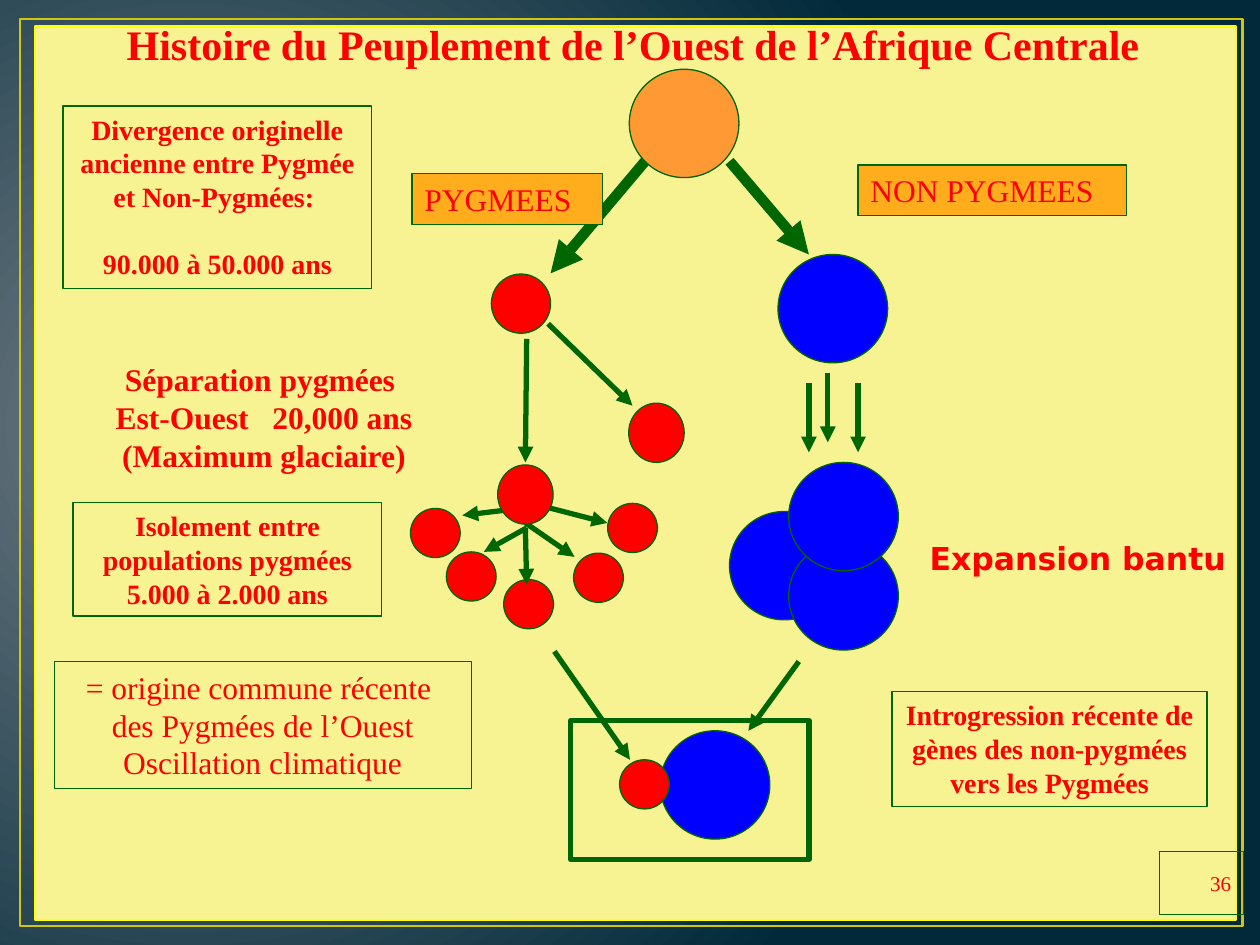
from lxml.etree import SubElement
from pptx import Presentation
from pptx.dml.color import RGBColor
from pptx.enum.shapes import MSO_CONNECTOR, MSO_SHAPE
from pptx.enum.text import MSO_ANCHOR, MSO_AUTO_SIZE, PP_ALIGN
from pptx.oxml import parse_xml
from pptx.oxml.ns import nsdecls, qn
from pptx.util import Inches, Pt

# The slide is a grid of 100 columns by 75 rows
CELL = Inches(0.1)
GREEN, RED, BLUE, ORANGE = "006600", "FF0000", "0000FF", "FF9933"
LABEL_FILL = "FFAD1C"
SERIF, SANS = "Times New Roman", "DejaVu Sans"
BIG, SMALL = (8.7, 8.6), (3.95, 3.9)  # circle sizes
CENTER, LEFT, RIGHT = PP_ALIGN.CENTER, PP_ALIGN.LEFT, PP_ALIGN.RIGHT


def grid(*cells):
    return [round(cell * CELL) for cell in cells]


def color(hex_value):
    return RGBColor.from_string(hex_value)


def set_background(slide, inner, outer):
    stops = "".join(
        f'<a:gs pos="{pos}"><a:srgbClr val="{value}"/></a:gs>'
        for pos, value in ((0, inner), (100000, outer)))
    gradient = parse_xml(
        f'<a:gradFill {nsdecls("a")} rotWithShape="1"><a:gsLst>{stops}</a:gsLst>'
        '<a:path path="circle"><a:fillToRect l="15000" t="50000" r="85000" b="60000"/>'
        '</a:path></a:gradFill>')
    fill = slide.background.fill
    fill.solid()
    solid = slide.element.find(".//" + qn("p:bgPr")).find(qn("a:solidFill"))
    solid.getparent().replace(solid, gradient)


def add_outline(slide, preset, box, fill=None, line=GREEN, weight=0.75):
    shape = slide.shapes.add_shape(preset, *grid(*box))
    shape.shadow.inherit = False
    if fill:
        shape.fill.solid()
        shape.fill.fore_color.rgb = color(fill)
    else:
        shape.fill.background()
    shape.line.color.rgb = color(line)
    shape.line.width = Pt(weight)
    return shape


def add_circle(slide, center, size, fill):
    (x, y), (width, height) = center, size
    box = (x - width / 2, y - height / 2, width, height)
    add_outline(slide, MSO_SHAPE.OVAL, box, fill)


def add_arrow(slide, start, end, weight=3):
    arrow = slide.shapes.add_connector(MSO_CONNECTOR.STRAIGHT, *grid(*start, *end))
    arrow.line.color.rgb = color(GREEN)
    arrow.line.width = Pt(weight)
    SubElement(arrow.line._get_or_add_ln(), qn("a:tailEnd"), type="triangle")
    SubElement(arrow.element.spPr, qn("a:effectLst"))


def write(shape, lines, size, bold=False, align=CENTER, face=SERIF,
          anchor=MSO_ANCHOR.TOP, gap=0):
    frame = shape.text_frame
    frame_format = {"word_wrap": True, "auto_size": MSO_AUTO_SIZE.NONE,
                    "vertical_anchor": anchor}
    for key, value in frame_format.items():
        setattr(frame, key, value)
    font_format = {"name": face, "size": Pt(size), "bold": bold}
    for index, line in enumerate(lines):
        paragraph = frame.add_paragraph() if index else frame.paragraphs[0]
        paragraph.alignment = align
        if index and gap:
            paragraph.space_before = Pt(gap)
        # A line given as a tuple has its parts set apart by a wide space
        parts = line if isinstance(line, tuple) else (line,)
        for number, part in enumerate(parts):
            pieces = [" ", part] if number else [part]
            for piece in pieces:
                run = paragraph.add_run()
                run.text = piece
                for key, value in font_format.items():
                    setattr(run.font, key, value)
                run.font.color.rgb = color(RED)
                if piece == " ":
                    run.font._element.set("spc", "900")


def add_title(slide, text):
    title = slide.shapes.title
    title.left, title.top, title.width, title.height = grid(0.5, 1, 99.5, 9.8)
    write(title, [text], 24, bold=True)
    title.element.getparent().append(title.element)  # in front of the panel


def add_boxed_text(slide, box, lines, size, fill=None, **text_format):
    write(add_outline(slide, MSO_SHAPE.RECTANGLE, box, fill), lines, size, **text_format)


def add_free_text(slide, box, lines, size, **text_format):
    write(slide.shapes.add_textbox(*grid(*box)), lines, size, **text_format)


def add_origin(slide):
    # Common ancestors and the first split
    add_circle(slide, (54.3, 9.8), BIG, ORANGE)
    add_circle(slide, (66.1, 24.5), BIG, BLUE)
    add_circle(slide, (41.35, 24.1), (4.7, 4.7), RED)
    add_arrow(slide, (51.2, 12.8), (43.7, 21.7), 6)
    add_arrow(slide, (57.9, 12.8), (64.2, 20.2), 6)
    for box, name in (((32.7, 13.8, 15.1, 4), "PYGMEES"),
                      ((68.1, 13.1, 21.3, 4), "NON PYGMEES")):
        add_boxed_text(slide, box, [name], 18, LABEL_FILL, align=LEFT)


def add_pygmy_branch(slide):
    # East and west separation, then isolated populations
    for center in ((47.5, 45.85), (50.2, 41.9), (41.95, 47.95),
                   (34.55, 42.3), (37.4, 45.75)):
        add_circle(slide, center, SMALL, RED)
    for start, end in (((41.8, 26.9), (41.7, 36.7)), ((43.5, 25.7), (50.2, 32.2)),
                       ((41.7, 41.5), (45.6, 44.2)), ((41.8, 41.9), (38.4, 43.8)),
                       ((41.7, 40.3), (36.7, 40.9)), ((42, 39.9), (48.2, 41.5)),
                       ((41.7, 41.9), (41.8, 46.4))):
        add_arrow(slide, start, end)
    for center in ((52.1, 34.35), (41.7, 39.25)):
        add_circle(slide, center, (4.4, 4.7), RED)


def add_bantu_branch(slide):
    # Expansion of the non-pygmy populations
    for x, y in ((64.2, 30.4), (65.7, 29.6), (68.1, 30.4)):
        add_arrow(slide, (x, y), (x, y + 5.5))
    for center in ((62.25, 44.9), (66.95, 47.3), (66.95, 41)):
        add_circle(slide, center, BIG, BLUE)
    add_free_text(slide, (72.8, 42.3, 27, 4), ["Expansion bantu"], 18,
                  bold=True, align=LEFT, face=SANS)


def add_introgression(slide):
    # Recent mixing of both branches
    add_circle(slide, (56.75, 62.3), BIG, BLUE)
    add_circle(slide, (51.15, 62.25), SMALL, RED)
    add_arrow(slide, (44, 51.7), (50, 60.3))
    add_arrow(slide, (63.4, 52.5), (59.4, 58))
    add_outline(slide, MSO_SHAPE.RECTANGLE, (45.3, 57.2, 18.9, 11), weight=3)


def add_comments(slide):
    add_boxed_text(slide, (5, 8.4, 24.5, 14.5),
                   ["Divergence originelle ancienne entre Pygmée et Non-Pygmées: ",
                    "90.000 à 50.000 ans"], 16, bold=True, gap=19)
    add_free_text(slide, (4, 28.1, 33.9, 10.1),
                  ["Séparation pygmées ", ("Est-Ouest", "20,000 ans"),
                   "(Maximum glaciaire)"], 18, bold=True)
    add_boxed_text(slide, (5.8, 39.9, 24.5, 9),
                   ["Isolement entre populations pygmées 5.000 à 2.000 ans"],
                   16, bold=True)
    add_boxed_text(slide, (4.3, 52.5, 33.1, 10.1),
                   ["= origine commune récente ", "des Pygmées de l’Ouest",
                    "Oscillation climatique"], 18)
    add_boxed_text(slide, (70.8, 54.9, 25, 9.1),
                   ["Introgression récente de gènes des non-pygmées vers les Pygmées"],
                   16, bold=True)
    add_boxed_text(slide, (92, 67.6, 6.7, 5), ["36"], 12,
                   align=RIGHT, anchor=MSO_ANCHOR.MIDDLE)


def main():
    deck = Presentation()
    deck.slide_width, deck.slide_height = grid(100, 75)
    slide = deck.slides.add_slide(deck.slide_layouts[5])

    # Backdrop
    set_background(slide, "717C84", "01293A")
    add_outline(slide, MSO_SHAPE.RECTANGLE, (1.6, 1.5, 97, 72), None, "CFC60D", 1.5)
    add_outline(slide, MSO_SHAPE.RECTANGLE, (2.8, 2.1, 95.3, 70.9),
                "F8F392", "FFFF00", 1.25)

    # Content
    add_title(slide, "Histoire du Peuplement de l’Ouest de l’Afrique Centrale")
    add_origin(slide)
    add_pygmy_branch(slide)
    add_bantu_branch(slide)
    add_introgression(slide)
    add_comments(slide)
    deck.save("out.pptx")


if __name__ == "__main__":
    main()
